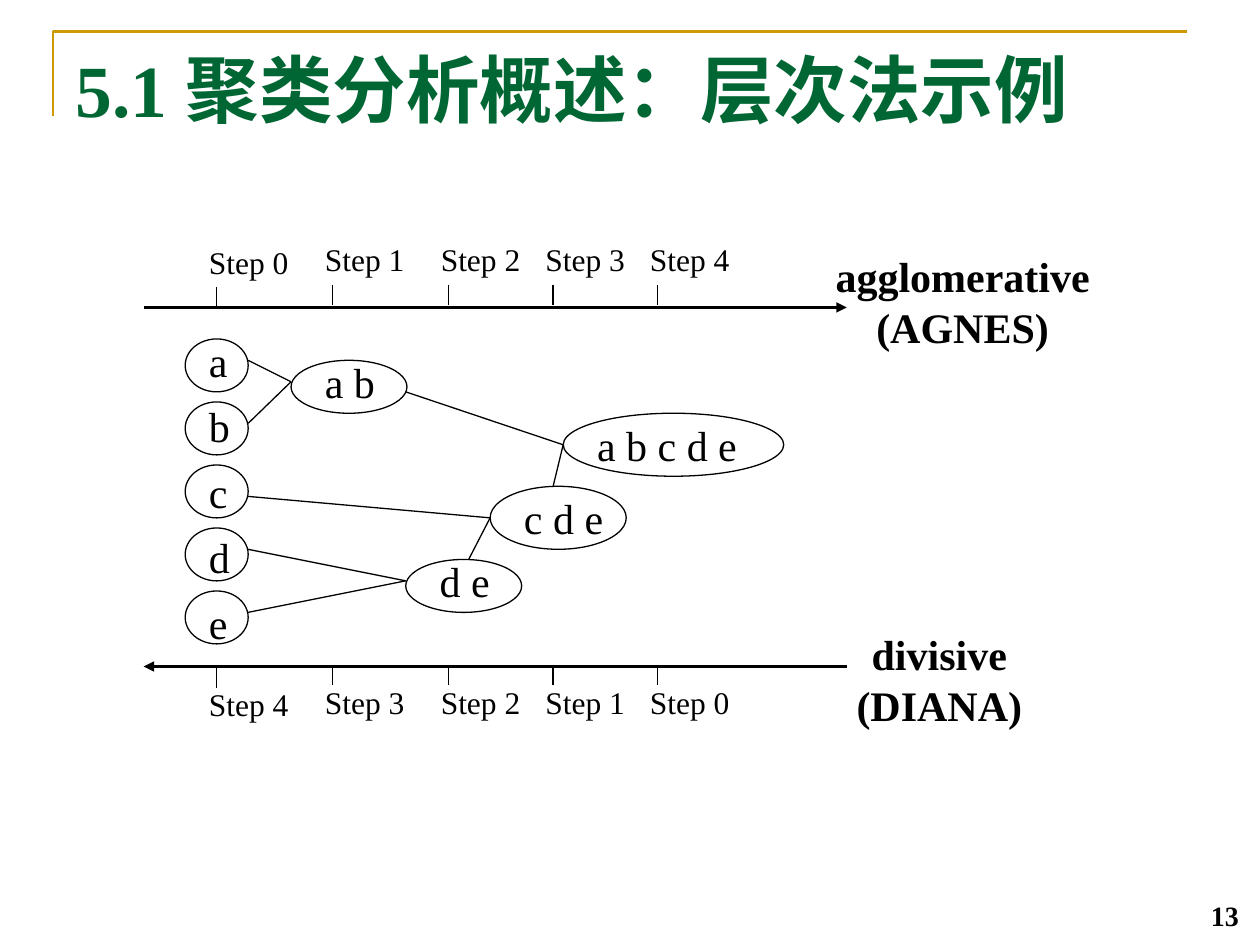
import pptx
import pptx.dml.color
import pptx.enum.shapes
import pptx.enum.text
import pptx.oxml.ns
import pptx.util
from lxml import etree
from pptx.util import Inches

BLACK = pptx.dml.color.RGBColor(0x00, 0x00, 0x00)
GREEN = pptx.dml.color.RGBColor(0x00, 0x66, 0x33)
GOLD = pptx.dml.color.RGBColor(0xCC, 0x99, 0x00)
ALIGN = pptx.enum.text.PP_ALIGN
ANCHOR = pptx.enum.text.MSO_ANCHOR
SHAPE = pptx.enum.shapes.MSO_SHAPE
CONNECTOR = pptx.enum.shapes.MSO_CONNECTOR

TICKS = [1.72, 2.64, 3.56, 4.39, 5.22]
# label, text left/top/width, ellipse left/top/width/height
CLUSTERS = [
    ("a b", (2.48, 2.78, 0.6), (2.31, 2.86, 0.92, 0.42)),
    ("d e", (3.39, 4.36, 0.6), (3.22, 4.44, 0.92, 0.42)),
    ("c d e", (4.06, 3.86, 0.83), (3.89, 3.86, 1.08, 0.5)),
    ("a b c d e", (4.64, 3.28, 1.31), (4.47, 3.28, 1.75, 0.5)),
]
MERGES = [
    ((1.97, 2.86), (2.31, 3.03)),
    ((1.97, 3.36), (2.31, 3.03)),
    ((1.97, 4.36), (3.22, 4.61)),
    ((1.97, 4.86), (3.22, 4.61)),
    ((1.97, 3.94), (3.89, 4.11)),
    ((3.72, 4.44), (3.89, 4.11)),
    ((3.22, 3.11), (4.47, 3.53)),
    ((4.39, 3.86), (4.47, 3.53)),
]


class Painter:
    font = "Times New Roman"
    thin = 0.75
    thick = 1.5

    def __init__(self, page):
        self.page = page

    def text(self, lines, left, top, width, height, size, color=BLACK, bold=False,
             align=ALIGN.LEFT, anchor=ANCHOR.TOP, wrap=True):
        """Add a text box with one paragraph for each line."""
        box = self.page.shapes.add_textbox(
            Inches(left), Inches(top), Inches(width), Inches(height))
        frame = box.text_frame
        frame.word_wrap = wrap
        frame.vertical_anchor = anchor
        values = {"name": self.font, "size": pptx.util.Pt(size), "bold": bold}
        for index, line in enumerate(lines):
            para = frame.add_paragraph() if index else frame.paragraphs[0]
            para.alignment = align
            span = para.add_run()
            span.text = line
            for name, value in values.items():
                setattr(span.font, name, value)
            span.font.color.rgb = color

    def ellipse(self, left, top, width, height):
        shape = self.page.shapes.add_shape(
            SHAPE.OVAL, Inches(left), Inches(top), Inches(width), Inches(height))
        shape.shadow.inherit = False
        shape.fill.background()
        self.stroke(shape.line, BLACK, self.thin)

    def line(self, start, end, width=thin, arrow=None):
        """Add a line; arrow is None, "headEnd" (at start) or "tailEnd" (at end)."""
        connector = self.page.shapes.add_connector(
            CONNECTOR.STRAIGHT, *[Inches(value) for value in (*start, *end)])
        self.stroke(connector.line, BLACK, width)
        if arrow:
            etree.SubElement(connector.line._get_or_add_ln(),
                             pptx.oxml.ns.qn("a:" + arrow), type="triangle")
        etree.SubElement(connector._element.spPr, pptx.oxml.ns.qn("a:effectLst"))

    def outline(self, points):
        corners = [(Inches(x), Inches(y)) for x, y in points]
        builder = self.page.shapes.build_freeform(*corners[0])
        builder.add_line_segments(corners[1:], close=False)
        shape = builder.convert_to_shape()
        shape.shadow.inherit = False
        shape.fill.background()
        self.stroke(shape.line, GOLD, self.thick)

    def stroke(self, line, color, width):
        line.color.rgb = color
        line.width = pptx.util.Pt(width)

    def step_axis(self, axis_y, tick_y, label_y, numbers, arrow):
        self.line((1.14, axis_y), (6.72, axis_y), self.thick, arrow)
        for index, (x, number) in enumerate(zip(TICKS, numbers)):
            drop = 0 if index else 0.02
            self.line((x, tick_y + drop), (x, tick_y + 0.16 + drop))
            self.text([f"Step {number}"], x - 0.16, label_y + drop, 0.83, 0.4, 18)

    def method(self, name, short_name, left, top, width):
        self.text([name, short_name], left, top, width, 0.9, 24, bold=True,
                  align=ALIGN.CENTER, wrap=False)


def main():
    deck = pptx.Presentation()
    deck.slide_width = Inches(10)
    deck.slide_height = Inches(7.5)
    painter = Painter(deck.slides.add_slide(deck.slide_layouts[6]))

    painter.outline([(0.42, 0.92), (0.42, 0.25), (9.42, 0.25)])
    painter.text(["13"], 7.6, 6.95, 2.33, 0.5, 16, bold=True,
                 align=ALIGN.RIGHT, anchor=ANCHOR.BOTTOM)
    painter.text(["5.1 聚类分析概述：层次法示例"], 0.5, 0.3, 9, 0.93, 42, GREEN, bold=True)

    painter.step_axis(2.44, 2.26, 1.86, range(5), "tailEnd")
    for index, letter in enumerate("abcde"):
        painter.text([letter], 1.56, 2.61 + 0.52 * index, 0.35, 0.5, 24, wrap=False)
        painter.ellipse(1.47, 2.69 + 0.5 * index, 0.5, 0.42)
    for label, (left, top, width), oval in CLUSTERS:
        painter.text([label], left, top, width, 0.5, 24, wrap=False)
        painter.ellipse(*oval)
    painter.step_axis(5.29, 5.28, 5.37, reversed(range(5)), "headEnd")
    for start, end in MERGES:
        painter.line(start, end)

    painter.method("agglomerative", "(AGNES)", 6.53, 1.94, 2.22)
    painter.method("divisive", "(DIANA)", 6.6, 4.94, 1.71)
    deck.save("out.pptx")


if __name__ == "__main__":
    main()
